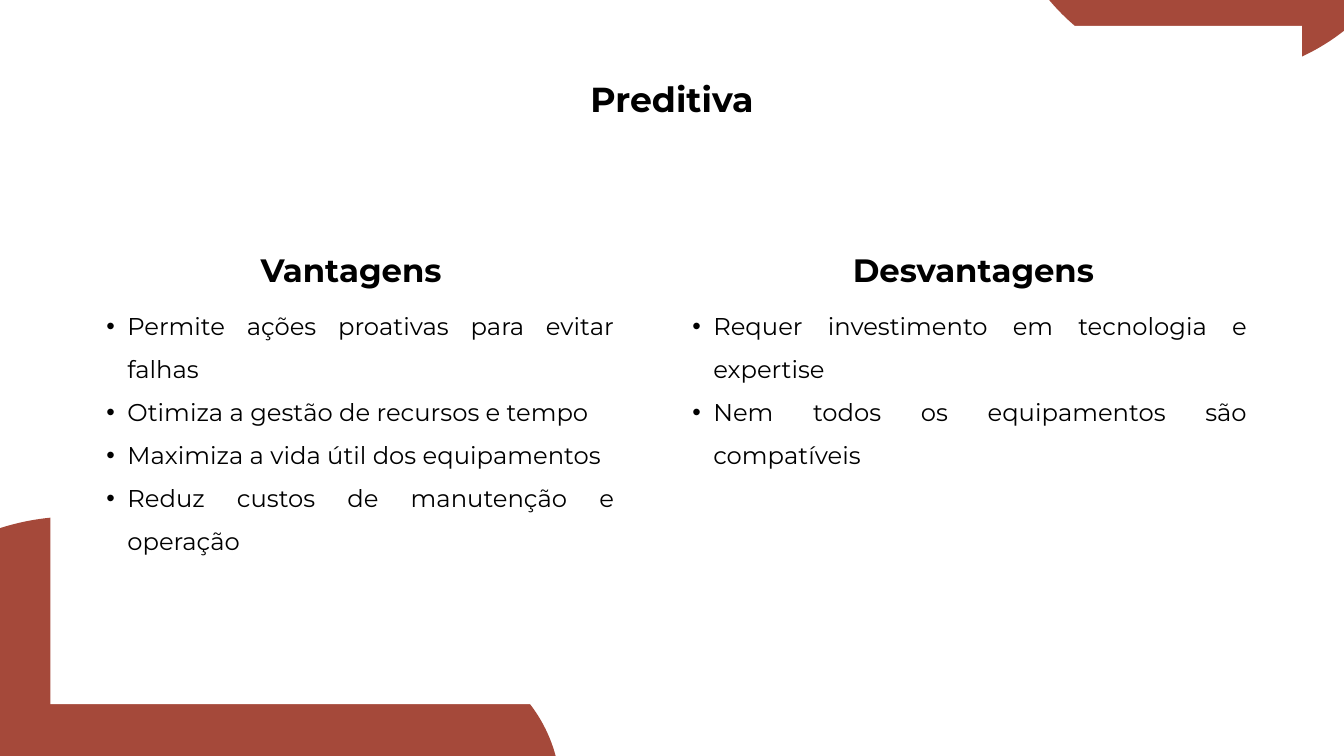
from lxml import etree
from pptx import Presentation
from pptx.dml.color import RGBColor
from pptx.enum.shapes import MSO_SHAPE
from pptx.enum.text import MSO_ANCHOR, MSO_AUTO_SIZE, PP_ALIGN
from pptx.oxml.ns import qn
from pptx.util import Emu, Pt

PX = 9525
FONT = "Montserrat"
BLACK = RGBColor(0x00, 0x00, 0x00)
WHITE = RGBColor(0xFF, 0xFF, 0xFF)
RUST = RGBColor(0xA5, 0x49, 0x3A)
OVAL = MSO_SHAPE.OVAL
RECTANGLE = MSO_SHAPE.RECTANGLE
TOP = MSO_ANCHOR.TOP
NO_AUTOFIT = MSO_AUTO_SIZE.NONE
CENTER = PP_ALIGN.CENTER
JUSTIFY = PP_ALIGN.JUSTIFY
COMPARISON_LAYOUT = 4

CIRCLES = [(-237, 738, 684), (380, 924, 421), (1428, -499, 608)]
COLUMNS = [
    ("Vantagens", (371, 348, 261, 61), (123, 425, 755, 361), [
        "Permite ações proativas para evitar falhas",
        "Otimiza a gestão de recursos e tempo",
        "Maximiza a vida útil dos equipamentos",
        "Reduz custos de manutenção e operação",
    ]),
    ("Desvantagens", (1213, 348, 355, 61), (960, 425, 822, 240), [
        "Requer investimento em tecnologia e expertise",
        "Nem todos os equipamentos são compatíveis",
    ]),
]


def px(length):
    return Emu(length * PX)


def add_filled(page, kind, left, top, width, height, color):
    shape = page.shapes.add_shape(kind, px(left), px(top), px(width), px(height))
    shape.shadow.inherit = False
    shape.fill.solid()
    shape.fill.fore_color.rgb = color
    shape.line.fill.background()


def place(box, area, wrap):
    box.left, box.top, box.width, box.height = map(px, area)
    box.element.getparent().append(box.element)
    frame = box.text_frame
    frame.margin_left = frame.margin_top = frame.margin_right = frame.margin_bottom = 0
    frame.vertical_anchor = TOP
    frame.auto_size = NO_AUTOFIT
    frame.word_wrap = wrap
    return frame


def write(para, text, size, leading, align, bold=False):
    para.alignment = align
    para.line_spacing = Pt(leading)
    para.space_before = Pt(0)
    span = para.add_run()
    span.text = text
    span.font.name = FONT
    span.font.size = Pt(size)
    span.font.bold = bold
    span.font.color.rgb = BLACK


def add_bullet(para):
    properties = para._p.get_or_add_pPr()
    properties.set("marL", str(px(59)))
    properties.set("indent", str(px(-30)))
    etree.SubElement(properties, qn("a:buFont")).set("typeface", "Arial")
    etree.SubElement(properties, qn("a:buChar")).set("char", "•")


def fill_heading(box, area, text, size, leading):
    frame = place(box, area, False)
    write(frame.paragraphs[0], text, size, leading, CENTER, True)


def fill_list(box, area, items):
    frame = place(box, area, True)
    for index, item in enumerate(items):
        para = frame.add_paragraph() if index else frame.paragraphs[0]
        add_bullet(para)
        write(para, item, 26, 46, JUSTIFY)


def main():
    deck = Presentation()
    deck.slide_width, deck.slide_height = px(1920), px(1080)
    page = deck.slides.add_slide(deck.slide_layouts[COMPARISON_LAYOUT])
    title, *bodies = list(page.placeholders)

    for left, top, size in CIRCLES:
        add_filled(page, OVAL, left, top, size, size, RUST)
    add_filled(page, RECTANGLE, 72, 37, 1788, 969, WHITE)

    for heading, content, column in zip(bodies[::2], bodies[1::2], COLUMNS):
        name, heading_area, list_area, items = column
        fill_heading(heading, heading_area, name, 34.6, 48.4)
        fill_list(content, list_area, items)
    fill_heading(title, (840, 101, 240, 66), "Preditiva", 37.2, 52.1)

    deck.save("out.pptx")


if __name__ == "__main__":
    main()
